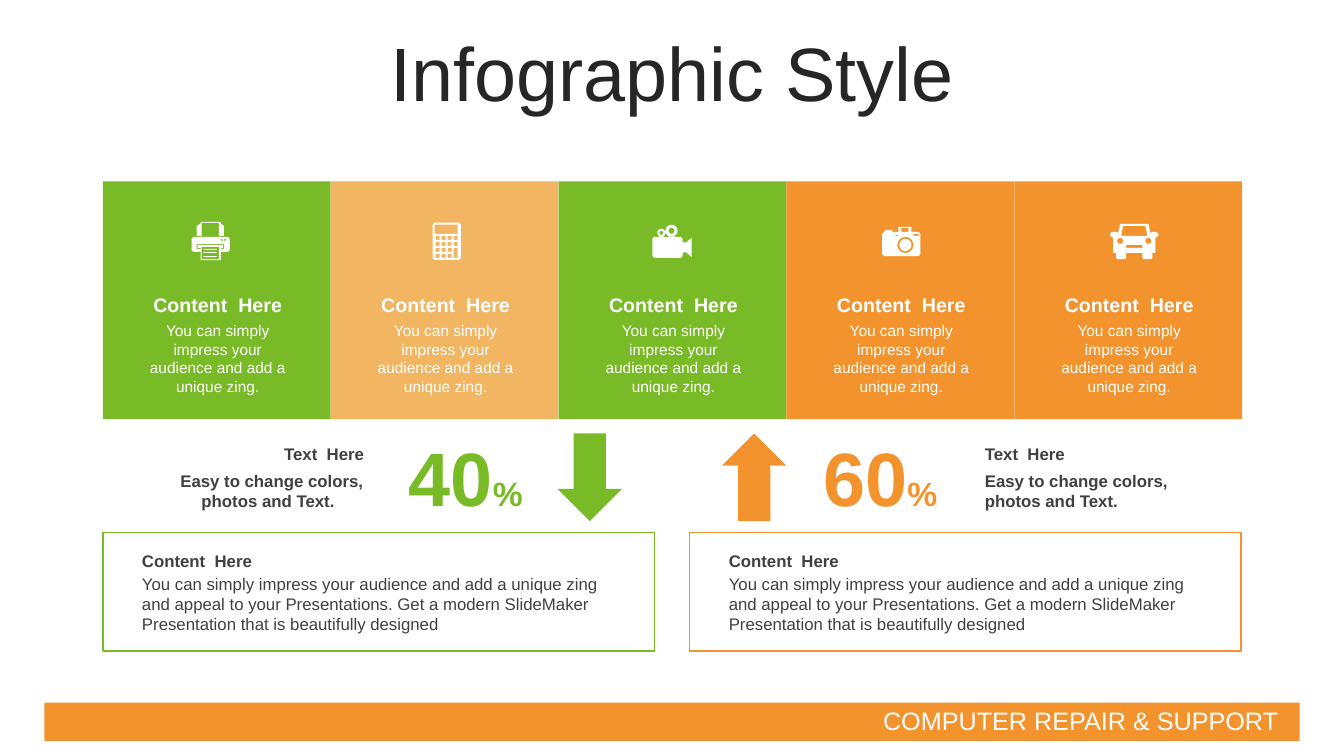
"""Build the infographic slide with five tiles, two percentages and two framed notes."""
from math import cos, pi, sin

from pptx import Presentation
from pptx.dml.color import RGBColor
from pptx.enum.shapes import MSO_SHAPE
from pptx.enum.text import MSO_ANCHOR, MSO_AUTO_SIZE, PP_ALIGN
from pptx.util import Inches, Pt

GREEN = RGBColor(0x79, 0xBA, 0x27)
ORANGE = RGBColor(0xF3, 0x93, 0x2D)
SAND = RGBColor(0xF2, 0xB6, 0x62)
WHITE = RGBColor(0xFF, 0xFF, 0xFF)
DARK = RGBColor(0x26, 0x26, 0x26)
GREY = RGBColor(0x40, 0x40, 0x40)

TILE_TEXT = "You can simply impress your audience and add a unique zing."
NOTE_TEXT = ("You can simply impress your audience and add a unique zing and appeal to your "
             "Presentations. Get a modern SlideMaker Presentation that is beautifully designed")
HINT_TEXT = "Easy to change colors, photos and Text."


def format_paragraph(para, size, color, bold=False, align=PP_ALIGN.LEFT):
    para.alignment = align
    para.font.name = "Arial"
    para.font.size = Pt(size)
    para.font.bold = bold
    para.font.color.rgb = color


def add_text(page, left, top, width, height, text, size, color, bold=False,
             align=PP_ALIGN.LEFT, anchor=MSO_ANCHOR.TOP):
    box = page.shapes.add_textbox(Inches(left), Inches(top), Inches(width), Inches(height))
    frame = box.text_frame
    frame.word_wrap = True
    frame.auto_size = MSO_AUTO_SIZE.SHAPE_TO_FIT_TEXT
    frame.vertical_anchor = anchor
    para = frame.paragraphs[0]
    para.text = text
    format_paragraph(para, size, color, bold, align)
    return para


def add_block(page, kind, left, top, width, height, fill=None, line=None):
    block = page.shapes.add_shape(kind, Inches(left), Inches(top), Inches(width), Inches(height))
    block.shadow.inherit = False
    if fill is None:
        block.fill.background()
    else:
        block.fill.solid()
        block.fill.fore_color.rgb = fill
    if line is None:
        block.line.fill.background()
    else:
        block.line.color.rgb = line
        block.line.width = Pt(1)
    return block


def rectangle(left, top, right, bottom):
    return [(left, top), (right, top), (right, bottom), (left, bottom)]


def disc(center_x, center_y, radius):
    angles = [step * pi / 12 for step in range(24)]
    return [(center_x + radius * cos(angle), center_y + radius * sin(angle)) for angle in angles]


def printer():
    body = [(1.92, 2.35), (2.26, 2.35), (2.28, 2.37), (2.28, 2.48), (2.26, 2.5), (2.19, 2.5),
            (2.19, 2.58), (1.99, 2.58), (1.99, 2.5), (1.92, 2.5), (1.9, 2.48), (1.9, 2.37)]
    slot = [(1.95, 2.42), (2.22, 2.42), (2.22, 2.47), (2.19, 2.47), (2.19, 2.46), (2.21, 2.46),
            (2.21, 2.43), (1.96, 2.43), (1.96, 2.46), (1.99, 2.46), (1.99, 2.47), (1.95, 2.47)]
    feeder = [(1.99, 2.2), (2.19, 2.2), (2.19, 2.22), (2.22, 2.24), (2.22, 2.34), (2.17, 2.34),
              (2.17, 2.21), (2, 2.21), (2, 2.34), (1.95, 2.34), (1.95, 2.24), (1.99, 2.22)]
    lines = [rectangle(2.02, top, 2.15, top + 0.01) for top in (2.47, 2.5, 2.54)]
    lights = [disc(x, 2.38, 0.01) for x in (2.2, 2.23)]
    return [body, slot, feeder, rectangle(2, 2.45, 2.17, 2.57), *lines, *lights]


def calculator():
    case = [(4.31, 2.21), (4.55, 2.21), (4.57, 2.23), (4.57, 2.56), (4.55, 2.58),
            (4.31, 2.58), (4.29, 2.56), (4.29, 2.23)]
    lefts = [4.32 + 0.06 * column for column in range(4)]
    tops = [2.34 + 0.06 * row for row in range(4)]
    keys = [rectangle(left, top, left + 0.04, top + 0.04)
            for top in tops for left in lefts if left < 4.49 or top < 2.45]
    return [case, rectangle(4.31, 2.23, 4.54, 2.32), *keys, rectangle(4.5, 2.46, 4.54, 2.56)]


def film_camera():
    body = [(6.49, 2.35), (6.75, 2.35), (6.77, 2.37), (6.77, 2.4), (6.8, 2.41), (6.86, 2.36),
            (6.86, 2.55), (6.8, 2.5), (6.77, 2.51), (6.77, 2.54), (6.75, 2.56), (6.49, 2.56),
            (6.47, 2.54), (6.47, 2.37)]
    return [body, disc(6.56, 2.31, 0.04), disc(6.56, 2.31, 0.02),
            disc(6.66, 2.29, 0.06), disc(6.66, 2.29, 0.03)]


def photo_camera():
    body = [(8.77, 2.3), (8.78, 2.28), (8.85, 2.28), (8.85, 2.3), (8.91, 2.3), (8.91, 2.25),
            (9.04, 2.25), (9.04, 2.3), (9.11, 2.3), (9.13, 2.32), (9.13, 2.52), (9.11, 2.54),
            (8.77, 2.54), (8.75, 2.52), (8.75, 2.32)]
    return [body, disc(8.98, 2.43, 0.08), disc(8.98, 2.43, 0.06),
            rectangle(8.94, 2.26, 9.01, 2.3), rectangle(9.06, 2.32, 9.11, 2.34),
            rectangle(8.88, 2.33, 8.91, 2.34)]


def car():
    half = [(11.39, 2.22), (11.41, 2.31), (11.43, 2.3), (11.47, 2.3), (11.49, 2.32),
            (11.49, 2.34), (11.46, 2.36), (11.46, 2.51), (11.43, 2.51), (11.43, 2.56),
            (11.42, 2.57), (11.34, 2.57), (11.33, 2.56), (11.33, 2.51)]
    body = half + [(22.5 - x, y) for x, y in reversed(half)]
    window = [(11.14, 2.24), (11.36, 2.24), (11.38, 2.34), (11.12, 2.34)]
    lamps = [disc(x, 2.39, 0.03) for x in (11.11, 11.39)]
    return [body, window, *lamps, rectangle(11.17, 2.43, 11.33, 2.46)]


def add_icon(page, contours):
    outlines = [[(x * 1000, y * 1000) for x, y in contour] for contour in contours]
    builder = page.shapes.build_freeform(*outlines[0][0], scale=Inches(1) / 1000)
    builder.add_line_segments(outlines[0][1:])
    for outline in outlines[1:]:
        builder.move_to(*outline[0])
        builder.add_line_segments(outline[1:])
    icon = builder.convert_to_shape()
    icon.shadow.inherit = False
    icon.fill.solid()
    icon.fill.fore_color.rgb = WHITE
    icon.line.fill.background()


def add_title(page):
    title = page.shapes.title
    title.left, title.top = Inches(0), Inches(0.37)
    title.width, title.height = Inches(13.33), Inches(0.79)
    title.text_frame.vertical_anchor = MSO_ANCHOR.MIDDLE
    para = title.text_frame.paragraphs[0]
    para.text = "Infographic Style"
    para.line_spacing = 0.9
    para.space_before = Pt(10)
    format_paragraph(para, 54, DARK, align=PP_ALIGN.CENTER)


def add_footer(page):
    add_block(page, MSO_SHAPE.RECTANGLE, 0.44, 6.97, 12.45, 0.38, ORANGE)
    add_text(page, 8.66, 6.95, 4.23, 0.4, "COMPUTER REPAIR & SUPPORT", 18, WHITE,
             anchor=MSO_ANCHOR.MIDDLE)


def add_tile(page, left, color, contours):
    add_block(page, MSO_SHAPE.RECTANGLE, left, 1.8, 2.26, 2.36, color)
    add_text(page, left + 0.31, 2.85, 1.66, 0.34, "Content  Here", 14, WHITE, True,
             PP_ALIGN.CENTER, MSO_ANCHOR.MIDDLE)
    add_text(page, left + 0.31, 3.14, 1.66, 0.66, TILE_TEXT, 11, WHITE, align=PP_ALIGN.CENTER)
    add_icon(page, contours)


def add_percentage(page, left, number, color):
    para = add_text(page, left, 4.23, 1.42, 1.01, number, 54, color, True, PP_ALIGN.CENTER)
    span = para.add_run()
    span.text = "%"
    span.font.size = Pt(24)


def add_hint(page, left, width, align):
    add_text(page, left, 4.35, width, 0.3, "Text  Here", 12, GREY, True, align, MSO_ANCHOR.MIDDLE)
    return add_text(page, left, 4.62, width + 0.1, 0.5, HINT_TEXT, 12, GREY, True)


def add_note(page, left, color):
    add_block(page, MSO_SHAPE.RECTANGLE, left, 5.28, 5.47, 1.18, line=color)
    add_text(page, left + 0.29, 5.64, 4.88, 0.71, NOTE_TEXT, 12, GREY)
    add_text(page, left + 0.29, 5.41, 4.88, 0.3, "Content  Here", 12, GREY, True)


def main():
    deck = Presentation()
    deck.slide_width, deck.slide_height = Inches(13.33), Inches(7.5)
    page = deck.slides.add_slide(deck.slide_layouts[5])
    add_footer(page)
    add_title(page)
    tiles = [(GREEN, printer()), (SAND, calculator()), (GREEN, film_camera()),
             (ORANGE, photo_camera()), (ORANGE, car())]
    for index, (color, contours) in enumerate(tiles):
        add_tile(page, 1.02 + 2.26 * index, color, contours)
    add_percentage(page, 3.91, "40", GREEN)
    add_percentage(page, 8.02, "60", ORANGE)
    add_block(page, MSO_SHAPE.DOWN_ARROW, 5.53, 4.3, 0.64, 0.87, GREEN)
    add_block(page, MSO_SHAPE.DOWN_ARROW, 7.16, 4.3, 0.64, 0.87, ORANGE).rotation = 180
    hanging = add_hint(page, 1.6, 2.11, PP_ALIGN.RIGHT)
    properties = hanging._p.get_or_add_pPr()
    properties.set("marL", str(Inches(0.3)))
    properties.set("indent", str(Inches(-0.21)))
    add_hint(page, 9.67, 2.07, PP_ALIGN.LEFT)
    add_note(page, 1.02, GREEN)
    add_note(page, 6.84, ORANGE)
    deck.save("out.pptx")


if __name__ == "__main__":
    main()
